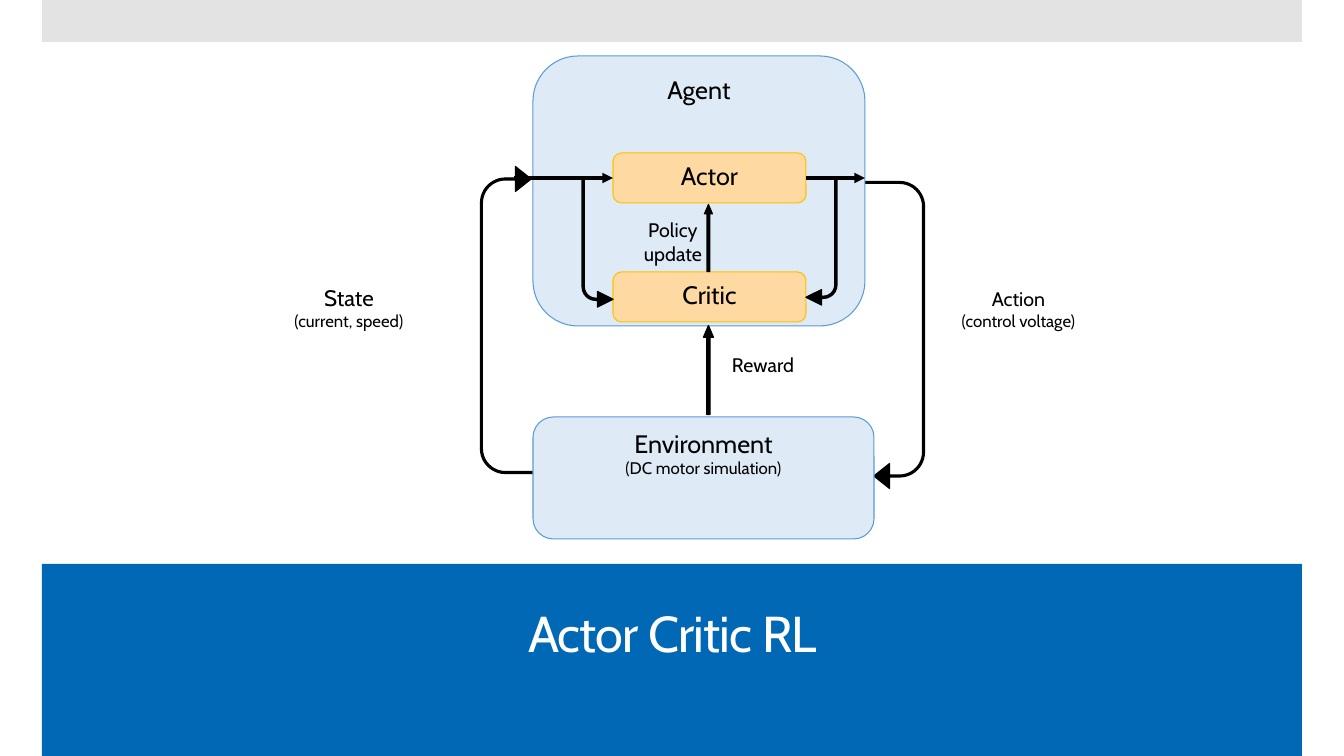
from dataclasses import dataclass

from lxml import etree
from pptx import Presentation
from pptx import util as u
from pptx.dml.color import RGBColor
from pptx.enum import shapes, text
from pptx.oxml.ns import qn

EMU_PER_PX = 914400 / 100.8
SHAPE = shapes.MSO_SHAPE


@dataclass(frozen=True)
class Theme:
    font: str = "Cabin"
    ink: str = "000000"
    white: str = "FFFFFF"
    blue: str = "0068B5"
    grey: str = "C8C8C8"
    outer_fill: str = "DEEBF7"
    outer_line: str = "5B9BD5"
    inner_fill: str = "FFD9A2"
    inner_line: str = "FFC000"
    title: int = 36
    heading: int = 18
    state: int = 16
    label: int = 14
    detail: int = 12


THEME = Theme()
UTURN = (0.012, 0.077, 0.097, 0.154, 0.313)
BENT = (0.073, 0.25, 0.5, 0.438)
STRAIGHT = (0.341, 1.169)


def px(*lengths):
    return [u.Emu(round(length * EMU_PER_PX)) for length in lengths]


def write(frame, lines, color=THEME.ink, align=text.PP_ALIGN.CENTER):
    """Fill a text frame with (wording, size) lines, one paragraph each."""
    frame.word_wrap = True
    for index, (wording, size) in enumerate(lines):
        paragraph = frame.add_paragraph() if index else frame.paragraphs[0]
        paragraph.text = wording
        paragraph.alignment = align
        paragraph.font.name = THEME.font
        paragraph.font.size = u.Pt(size)
        paragraph.font.color.rgb = RGBColor.from_string(color)


def add_shape(slide, kind, box, fill, line=None, line_width=0.75):
    shape = slide.shapes.add_shape(kind, *px(*box))
    shape.shadow.inherit = False
    shape.fill.solid()
    shape.fill.fore_color.rgb = RGBColor.from_string(fill)
    if line:
        shape.line.color.rgb = RGBColor.from_string(line)
        shape.line.width = u.Pt(line_width)
    else:
        shape.line.fill.background()
    return shape


def add_block(slide, box, lines, fill, line):
    block = add_shape(slide, SHAPE.ROUNDED_RECTANGLE, box, fill, line)
    block.text_frame.vertical_anchor = text.MSO_ANCHOR.TOP
    write(block.text_frame, lines)
    return block


def add_outer_block(slide, box, lines):
    return add_block(slide, box, lines, THEME.outer_fill, THEME.outer_line)


def add_inner_block(slide, box, name):
    return add_block(slide, box, [(name, THEME.heading)],
                     THEME.inner_fill, THEME.inner_line)


def add_block_arrow(slide, kind, box, rotation, adjustments, flip=False):
    arrow = add_shape(slide, kind, box, THEME.ink, THEME.ink, 0.85)
    arrow.rotation = rotation
    for index, value in enumerate(adjustments):
        arrow.adjustments[index] = value
    if flip:
        arrow.element.spPr.find(qn("a:xfrm")).set("flipH", "1")


def add_label(slide, box, lines, align=text.PP_ALIGN.CENTER):
    label = slide.shapes.add_textbox(*px(*box))
    write(label.text_frame, lines, align=align)
    label.text_frame.auto_size = text.MSO_AUTO_SIZE.SHAPE_TO_FIT_TEXT


def add_line_arrow(slide, start, end):
    connector = slide.shapes.add_connector(
        shapes.MSO_CONNECTOR.STRAIGHT, *px(*start, *end))
    connector.line.color.rgb = RGBColor.from_string(THEME.ink)
    connector.line.width = u.Pt(2.5)
    line = connector.line._get_or_add_ln()
    etree.SubElement(line, qn("a:tailEnd"), type="triangle")
    etree.SubElement(connector.element.spPr, qn("a:effectLst"))
    return connector


def add_bands_and_title(slide):
    blue_band = add_shape(slide, SHAPE.RECTANGLE, (42, 564, 1260, 192), THEME.blue)
    grey_band = add_shape(slide, SHAPE.RECTANGLE, (42, 0, 1260, 42), THEME.grey)
    color = grey_band.element.spPr.find(".//" + qn("a:srgbClr"))
    etree.SubElement(color, qn("a:alpha"), val="50000")

    title = slide.shapes.title
    title.left, title.top, title.width, title.height = px(71, 580, 1203, 113)
    write(title.text_frame, [("Actor Critic RL", THEME.title)], THEME.white)
    title.text_frame.vertical_anchor = text.MSO_ANCHOR.MIDDLE
    title.text_frame.auto_size = text.MSO_AUTO_SIZE.NONE
    paragraph = title.text_frame.paragraphs[0]
    paragraph.line_spacing = 0.9
    paragraph._p.pPr.find(qn("a:defRPr")).set("spc", "-60")
    blue_band.element.addnext(title.element)


def add_environment_loop(slide):
    add_block_arrow(slide, SHAPE.U_TURN_ARROW, (690, 254, 307, 162), 90, UTURN)
    add_outer_block(slide, (533, 56, 332, 270), [("Agent", THEME.heading)])
    add_block_arrow(slide, SHAPE.U_TURN_ARROW, (408, 239, 307, 162), 270, UTURN)
    add_block_arrow(slide, SHAPE.RIGHT_ARROW, (664, 365, 89, 10), 270, STRAIGHT)
    add_label(slide, (948, 282, 141, 54),
              [("Action", THEME.label), ("(control voltage)", THEME.detail)])
    add_label(slide, (722, 348, 101, 35), [("Reward", THEME.label)],
              text.PP_ALIGN.LEFT)
    add_label(slide, (255, 279, 188, 57),
              [("State", THEME.state), ("(current, speed)", THEME.detail)])
    add_outer_block(slide, (533, 417, 341, 122),
                    [("Environment", THEME.heading),
                     ("(DC motor simulation)", THEME.detail)])


def add_actor_and_critic(slide):
    add_inner_block(slide, (613, 272, 193, 50), "Critic")
    actor = add_inner_block(slide, (613, 153, 193, 50), "Actor")
    add_block_arrow(slide, SHAPE.BENT_ARROW, (582, 180, 31, 127), 180, BENT, flip=True)
    add_block_arrow(slide, SHAPE.BENT_ARROW, (806, 179, 31, 126), 180, BENT)
    add_label(slide, (627, 213, 92, 60),
              [("Policy", THEME.label), ("update", THEME.label)])
    add_block_arrow(slide, SHAPE.RIGHT_ARROW, (675, 234, 67, 8), 270, STRAIGHT)
    add_line_arrow(slide, (514, 178), (613, 178)).end_connect(actor, 1)
    add_line_arrow(slide, (806, 178), (865, 178)).begin_connect(actor, 3)


def main():
    presentation = Presentation()
    presentation.slide_width, presentation.slide_height = px(1344, 756)
    slide = presentation.slides.add_slide(presentation.slide_layouts[5])
    add_bands_and_title(slide)
    add_environment_loop(slide)
    add_actor_and_critic(slide)
    presentation.save("out.pptx")


if __name__ == "__main__":
    main()
